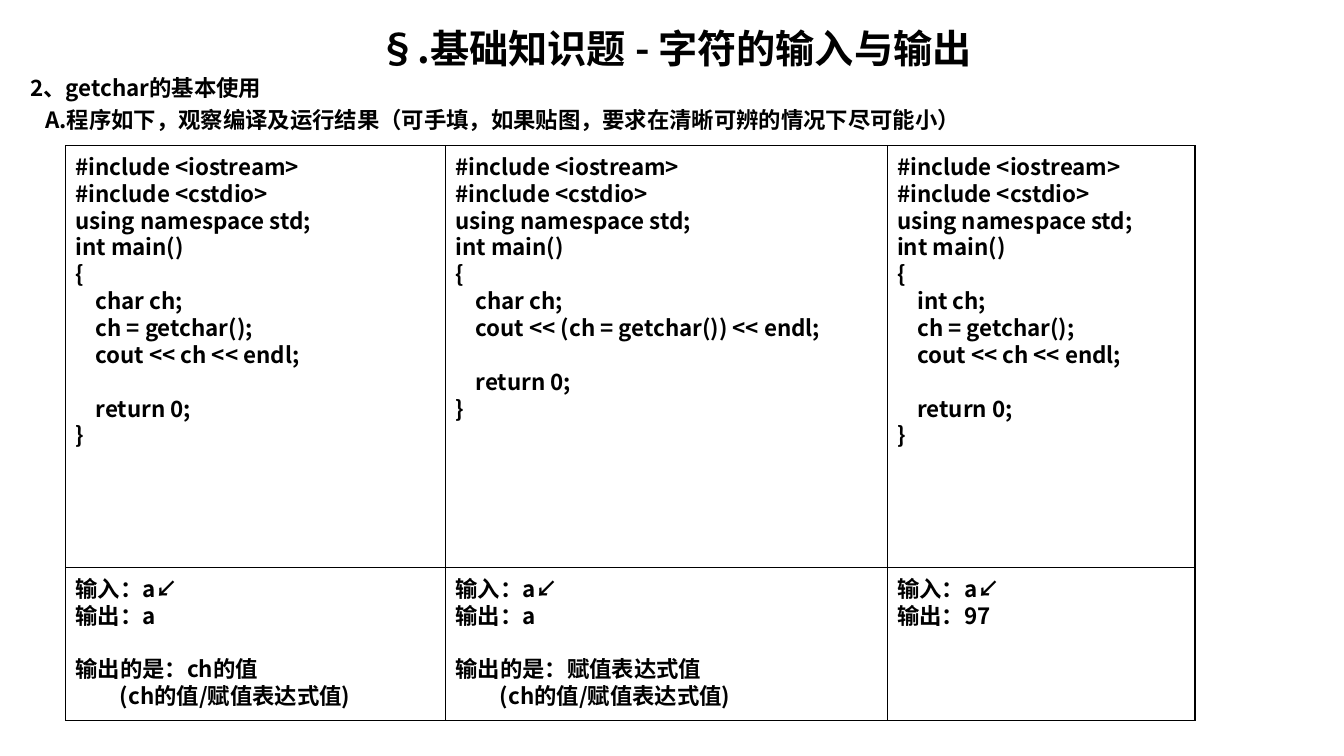
import dataclasses

import pptx
import pptx.dml.color
import pptx.enum.shapes
import pptx.enum.text
import pptx.oxml
import pptx.oxml.ns
import pptx.util


@dataclasses.dataclass(frozen=True)
class Theme:
    font: str = "Noto Sans CJK SC"
    ink: str = "000000"
    heading: float = 28
    text: float = 16
    leading: float = 1.2
    border: float = 0.75


def colour(value):
    return pptx.dml.color.RGBColor.from_string(value)


def xml_element(tag, attributes=""):
    return pptx.oxml.parse_xml(f"<a:{tag} {pptx.oxml.ns.nsdecls('a')} {attributes}/>")


def write(paragraph, text, *, theme, size, align="LEFT", indent=0, before=0, after=0):
    """Fill one paragraph; indent is in inches, spacing in points."""
    paragraph.alignment = getattr(pptx.enum.text.PP_ALIGN, align)
    paragraph.line_spacing = pptx.util.Pt(size * theme.leading)
    paragraph.space_before = pptx.util.Pt(before)
    paragraph.space_after = pptx.util.Pt(after)
    properties = paragraph._p.get_or_add_pPr()
    properties.set("marL", str(pptx.util.Inches(indent)))
    properties.set("indent", "0")
    properties.append(xml_element("buNone"))
    run = paragraph.add_run()
    run.text = text
    run.font.size = pptx.util.Pt(size)
    run.font.bold = True
    run.font.color.rgb = colour(theme.ink)
    run.font.name = theme.font
    run._r.get_or_add_rPr().append(xml_element("ea", f'typeface="{theme.font}"'))


class Page:
    """One slide on a grid of 100 columns by 100 rows."""

    def __init__(self, presentation, theme):
        self.theme = theme
        self.column = presentation.slide_width / 100
        self.row = presentation.slide_height / 100
        self.slide = presentation.slides.add_slide(presentation.slide_layouts[1])

    def place(self, left, top, width, height):
        return (round(left * self.column), round(top * self.row),
                round(width * self.column), round(height * self.row))

    def lines(self, frame, lines, size):
        """Each line is a text and its format."""
        frame.word_wrap = True
        frame.auto_size = pptx.enum.text.MSO_AUTO_SIZE.NONE
        frame.vertical_anchor = pptx.enum.text.MSO_ANCHOR.TOP
        for number, (text, style) in enumerate(lines):
            paragraph = frame.add_paragraph() if number else frame.paragraphs[0]
            write(paragraph, text, theme=self.theme, size=size, **style)

    def placeholder(self, index, box, lines, size):
        holder = self.slide.placeholders[index]
        holder.left, holder.top, holder.width, holder.height = self.place(*box)
        self.lines(holder.text_frame, lines, size)

    def panel(self, box, lines=()):
        """An outlined rectangle, with or without text."""
        panel = self.slide.shapes.add_shape(
            pptx.enum.shapes.MSO_SHAPE.RECTANGLE, *self.place(*box))
        panel.shadow.inherit = False
        panel.fill.background()
        panel.line.color.rgb = colour(self.theme.ink)
        panel.line.width = pptx.util.Pt(self.theme.border)
        if lines:
            panel.text_frame.margin_top = pptx.util.Inches(0.07)
            self.lines(panel.text_frame, lines, self.theme.text)


THEME = Theme()
BLANK_LINE = THEME.text * THEME.leading
CODE_INDENT = 0.2
HINT_INDENT = 0.44

# Grid of the panels
LEFT, TOP, HEIGHT = 4.88, 19.3, 76
WIDTHS = (28.28, 32.86, 22.9)
RESULT_HEIGHT = 20.2


def program(*statements):
    opening = ("#include <iostream>", "#include <cstdio>", "using namespace std;",
               "int main()", "{")
    return ([(line, {}) for line in opening]
            + [(line, {"indent": CODE_INDENT}) for line in statements]
            + [("return 0;", {"indent": CODE_INDENT, "before": BLANK_LINE}), ("}", {})])


def result(output, meaning=None):
    lines = [("输入：a↙", {}), (f"输出：{output}", {})]
    if meaning:
        lines += [(f"输出的是：{meaning}", {"before": BLANK_LINE}),
                  ("(ch的值/赋值表达式值)", {"indent": HINT_INDENT})]
    return lines


def main():
    presentation = pptx.Presentation()
    presentation.slide_width = pptx.util.Inches(13.33)
    presentation.slide_height = pptx.util.Inches(7.5)
    page = Page(presentation, THEME)

    # Heading and task
    page.placeholder(0, (1.5, 2.5, 97.45, 7), [
        ("§.基础知识题 - 字符的输入与输出", {"align": "CENTER"}),
    ], THEME.heading)
    page.placeholder(1, (1.5, 9.2, 97.45, 10), [
        ("2、getchar的基本使用", {"after": 3.6}),
        ("A.程序如下，观察编译及运行结果（可手填，如果贴图，要求在清晰可辨的情况下尽可能小）",
         {"indent": 0.15}),
    ], THEME.text)

    # Frame, programs at full height, results along the bottom
    programs = [
        program("char ch;", "ch = getchar();", "cout << ch << endl;"),
        program("char ch;", "cout << (ch = getchar()) << endl;"),
        program("int ch;", "ch = getchar();", "cout << ch << endl;"),
    ]
    results = [result("a", "ch的值"), result("a", "赋值表达式值"), result("97")]
    page.panel((LEFT, TOP, sum(WIDTHS), HEIGHT))
    for contents, height in ((programs, HEIGHT), (results, RESULT_HEIGHT)):
        for number, (width, lines) in enumerate(zip(WIDTHS, contents)):
            left = LEFT + sum(WIDTHS[:number])
            page.panel((left, TOP + HEIGHT - height, width, height), lines)

    presentation.save("out.pptx")


if __name__ == "__main__":
    main()
